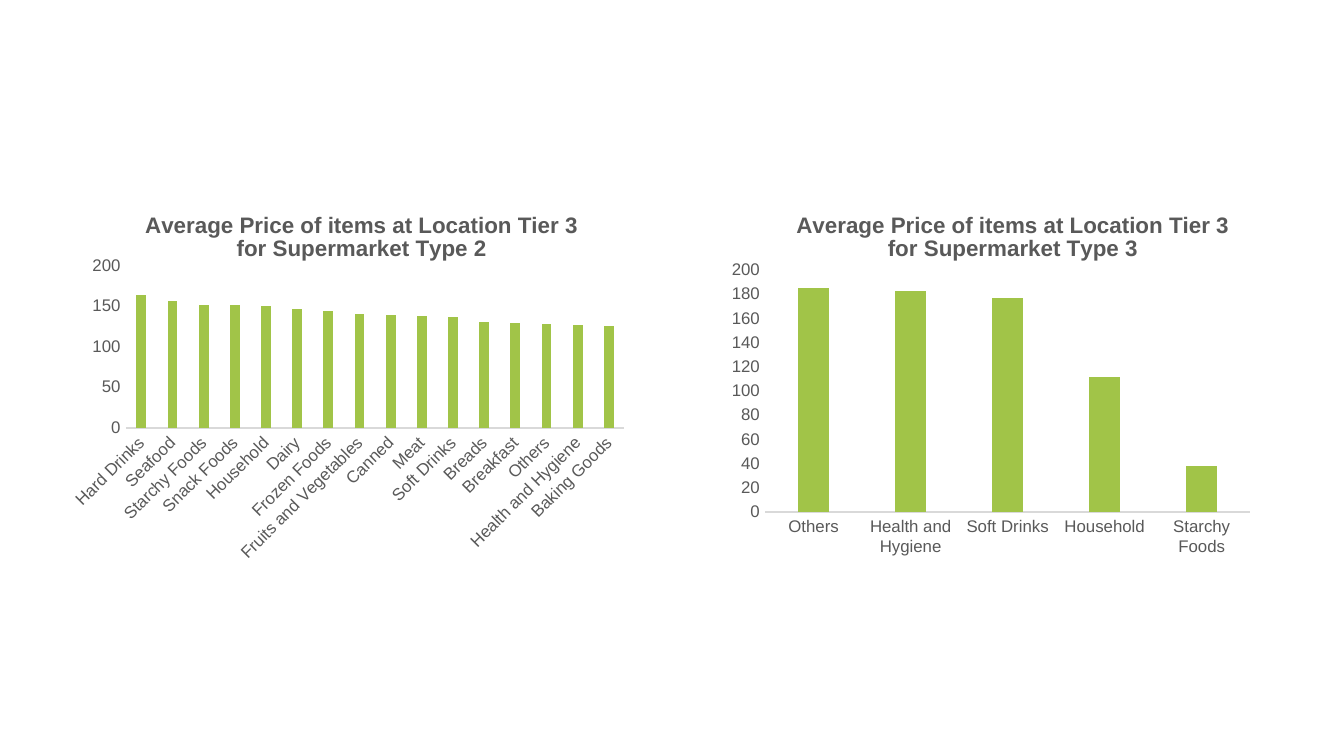
from lxml.etree import SubElement
from pptx import Presentation
from pptx.chart.data import CategoryChartData
from pptx.dml.color import RGBColor
from pptx.enum.chart import XL_CHART_TYPE, XL_TICK_MARK
from pptx.oxml.ns import qn
from pptx.util import Cm, Pt

# Content
PRICE_CHARTS = [
    {
        "title": "Average Price of items at Location Tier 3 for Supermarket Type 2",
        "prices": [
            ("Hard Drinks", 164), ("Seafood", 156), ("Starchy Foods", 152),
            ("Snack Foods", 152), ("Household", 150), ("Dairy", 146),
            ("Frozen Foods", 144), ("Fruits and Vegetables", 140),
            ("Canned", 139), ("Meat", 138), ("Soft Drinks", 137),
            ("Breads", 131), ("Breakfast", 129), ("Others", 128),
            ("Health and Hygiene", 127), ("Baking Goods", 126),
        ],
        "left": 1.22, "width": 11.13, "step": 50,
        "plot": {"x": 0.104, "y": 0.208, "w": 0.847, "h": 0.423},
    },
    {
        "title": "Average Price of items at Location Tier 3 for Supermarket Type 3",
        "prices": [
            ("Others", 185), ("Health and Hygiene", 183), ("Soft Drinks", 177),
            ("Household", 112), ("Starchy Foods", 38),
        ],
        "left": 13.61, "width": 10.49, "step": 20,
        "plot": {"x": 0.081, "y": 0.22, "w": 0.874, "h": 0.63},
    },
]
CHART_TOP, CHART_HEIGHT = 3.51, 7.26
TITLE_PLACE = {"x": 0.13, "y": 0.055}

THEME = {
    "bar": RGBColor.from_string("A1C448"),
    "text": RGBColor.from_string("595959"),
    "axis": RGBColor.from_string("D9D9D9"),
    "title_font": {"name": "Arial", "size": Pt(12), "bold": True},
    "label_font": {"name": "Arial", "size": Pt(9), "bold": False},
}
AXIS_FORMAT = {
    "has_major_gridlines": False,
    "major_tick_mark": XL_TICK_MARK.NONE,
    "minor_tick_mark": XL_TICK_MARK.NONE,
}
BAR_FORMAT = {"gap_width": 219, "overlap": -27, "vary_by_categories": False}


def set_attributes(target, values):
    for name, value in values.items():
        setattr(target, name, value)


def style_font(font, values):
    set_attributes(font, values)
    font.color.rgb = THEME["text"]


def place(element, position, inner=False):
    """Fix a chart part at fractions of the chart's size."""
    layout = element.find(qn("c:layout"))
    if layout is None:
        layout = SubElement(element, qn("c:layout"))
        text = element.find(qn("c:tx"))
        if text is not None:
            text.addnext(layout)
        else:
            element.insert(0, layout)
    manual = SubElement(layout, qn("c:manualLayout"))
    settings = {"layoutTarget": "inner"} if inner else {}
    settings.update({"xMode": "edge", "yMode": "edge"}, **position)
    for tag, value in settings.items():
        SubElement(manual, qn(f"c:{tag}")).set("val", str(value))


def add_price_chart(slide, content):
    data = CategoryChartData()
    categories, prices = zip(*content["prices"])
    data.categories = categories
    data.add_series("Series 1", prices)
    chart = slide.shapes.add_chart(
        XL_CHART_TYPE.COLUMN_CLUSTERED, Cm(content["left"]), Cm(CHART_TOP),
        Cm(content["width"]), Cm(CHART_HEIGHT), data).chart
    chart.has_legend = False
    style_font(chart.font, THEME["label_font"])

    # Title
    title = chart.chart_title
    title.text_frame.text = content["title"]
    style_font(title.text_frame.paragraphs[0].runs[0].font, THEME["title_font"])
    title.include_in_layout = False
    place(title._element, TITLE_PLACE)

    # Axes
    for axis in (chart.category_axis, chart.value_axis):
        set_attributes(axis, AXIS_FORMAT)
        style_font(axis.tick_labels.font, THEME["label_font"])
    axis_line = chart.category_axis.format.line
    axis_line.color.rgb = THEME["axis"]
    axis_line.width = Pt(0.75)
    chart.value_axis.format.line.fill.background()
    set_attributes(chart.value_axis, {
        "minimum_scale": 0, "maximum_scale": 200, "major_unit": content["step"]})

    # Bars
    bars = chart.plots[0]
    set_attributes(bars, BAR_FORMAT)
    bar_fill = bars.series[0].format.fill
    bar_fill.solid()
    bar_fill.fore_color.rgb = THEME["bar"]
    place(chart._chartSpace.chart.plotArea, content["plot"], inner=True)


def main():
    deck = Presentation()
    deck.slide_width, deck.slide_height = Cm(25.4), Cm(14.29)
    slide = deck.slides.add_slide(deck.slide_layouts[6])
    for content in PRICE_CHARTS:
        add_price_chart(slide, content)
    deck.save("out.pptx")


if __name__ == "__main__":
    main()
